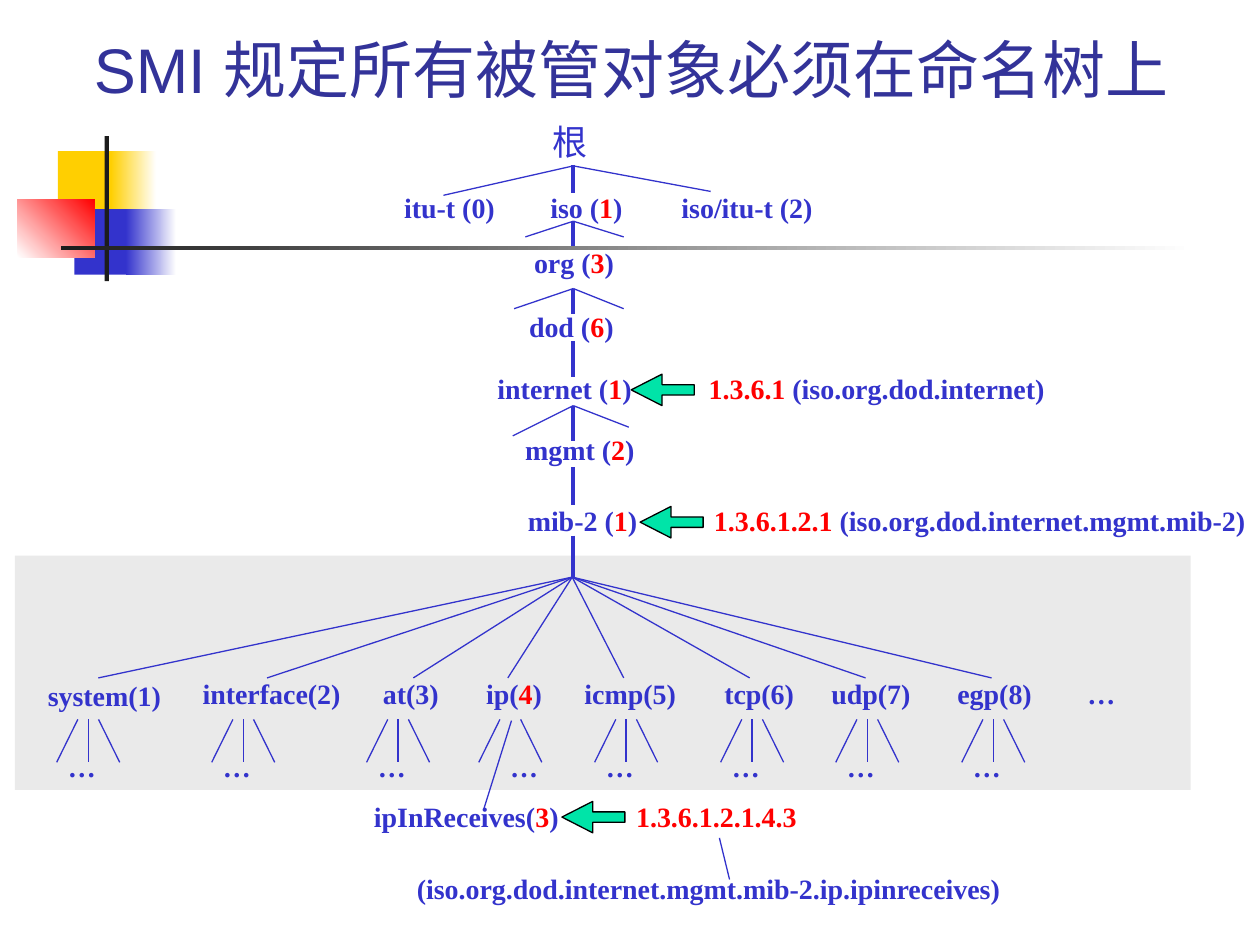
import pptx
import pptx.util
import pptx.dml.color
import pptx.enum.shapes
import pptx.enum.text
import lxml.etree

Pt = pptx.util.Pt
RGB = pptx.dml.color.RGBColor.from_string
SHAPE = pptx.enum.shapes.MSO_SHAPE
TEXT = pptx.enum.text

THEME = {
    "ink": "3333CC", "red": "FF0000", "title": "333399", "band": "EAEAEA",
    "arrow": "00E4A8", "black": "000000", "bar": "1C1C1C", "gold": "FFCF01",
    "white": "FFFFFF", "serif": "Times New Roman", "sans": "Arial",
    "title_size": 36, "root_size": 20, "size": 16, "thin": 0.75, "thick": 2.25,
}

TITLE = "SMI 规定所有被管对象必须在命名树上 "
DECOR = [
    (33.1, 86.4, 34.6, 37.4, ["gold"], 0),
    (63.4, 86.4, 25.9, 37.4, ["gold", "white"], 0),
    (42.5, 119.5, 33.1, 37.4, ["ink"], 0),
    (72, 119.5, 28.8, 37.4, ["ink", "white"], 0),
    (10.1, 113.8, 43.9, 33.1, ["white", "red"], 45),
    (59.8, 77.8, 2.4, 82.8, ["bar"], 0),
    (34.6, 140.4, 648, 2.4, ["bar", "white"], 0),
]
BAND = (8.6, 317.5, 671.8, 133.9)

# Text between bars is red
LABELS = [
    (223.9, 105.1, 67, "itu-t (0)", None),
    (307.4, 105.1, 56.2, "iso (|1|)", None),
    (382.3, 105.1, 90, "iso/itu-t (2)", None),
    (298.1, 136.8, 60.5, "org (|3|)", None),
    (295.2, 173.5, 63.4, "dod (|6|)", None),
    (277.2, 208.8, 328.3, "internet (|1|)\t|1.3.6.1| (iso.org.dod.internet)", 120.7),
    (293, 243.4, 77, "mgmt (|2|)", None),
    (294.5, 284.4, 426.2,
     "mib-2 (|1|)\t|1.3.6.1.2.1| (iso.org.dod.internet.mgmt.mib-2)", 106.4),
    (614.2, 383, 30.2, "…", None),
    (206.6, 453.6, 120.6, "ipInReceives(|3|)", None),
    (356.4, 453.6, 106.6, "|1.3.6.1.2.1.4.3|", None),
    (231.1, 494.6, 349.9, "(iso.org.dod.internet.mgmt.mib-2.ip.ipinreceives)", None),
]
ARROWS = [(360.7, 213.8), (365.8, 289.4), (321.1, 457.9)]

TRUNK_X = 327.6
TRUNKS = [(94.3, 110.2), (126, 140.4), (164.9, 179.3), (195.1, 215.3),
          (231.8, 252), (267.1, 288.7), (306, 330.5)]
FANS = [
    (94.8, [(253.4, 111.6), (406.1, 109.4)]),
    (126.4, [(300.2, 135.4), (356.4, 135.4)]),
    (164.9, [(293.8, 176.4), (356.4, 176.4)]),
    (231.8, [(293, 249.1), (359.3, 244.1)]),
]
LOOSE_LINES = [(292.3, 411.8, 276.5, 462.2), (416.9, 502.6, 411.1, 478.8)]

GROUP_Y, GROUP_APEX_Y, GROUP_END_Y = 383, 329.8, 387.4
TWIG_TOP, TWIG_BOTTOM, DOTS_Y, DOTS_W = 411.1, 435.6, 424.8, 30.2
GROUPS = [
    ("system(1)", 20.2, 79.9, 56.2, 50.4),
    ("interface(2)", 108.7, 93.6, 152.6, 139),
    ("at(3)", 211.7, 46.8, 236.2, 227.5),
    ("ip(|4|)", 270.7, 46.8, 290.2, 291.6),
    ("icmp(5)", 326.9, 67, 356.4, 357.8),
    ("tcp(6)", 406.8, 54.7, 428.4, 429.8),
    ("udp(7)", 468, 59.8, 494.6, 495.6),
    ("egp(8)", 540, 57.6, 566.6, 567.6),
]

prs = pptx.Presentation()
prs.slide_width, prs.slide_height = Pt(720), Pt(540)
slide = prs.slides.add_slide(prs.slide_layouts[6])
shapes = slide.shapes


def add_block(kind, x, y, w, h, colors, angle=0, line=None):
    sp = shapes.add_shape(kind, Pt(x), Pt(y), Pt(w), Pt(h))
    sp.shadow.inherit = False
    if len(colors) == 1:
        sp.fill.solid()
        sp.fill.fore_color.rgb = RGB(THEME[colors[0]])
    else:
        sp.fill.gradient()
        sp.fill.gradient_angle = angle
        for stop, color in zip(sp.fill.gradient_stops, colors):
            stop.color.rgb = RGB(THEME[color])
    if line:
        sp.line.color.rgb = RGB(THEME[line])
        sp.line.width = Pt(THEME["thin"])
    else:
        sp.line.fill.background()
    return sp


def add_line(x1, y1, x2, y2, weight="thin"):
    kind = pptx.enum.shapes.MSO_CONNECTOR.STRAIGHT
    cxn = shapes.add_connector(kind, Pt(x1), Pt(y1), Pt(x2), Pt(y2))
    cxn.line.color.rgb = RGB(THEME["ink"])
    cxn.line.width = Pt(THEME[weight])
    spPr = cxn._element.spPr
    lxml.etree.SubElement(spPr, pptx.oxml.ns.qn("a:effectLst"))


def add_text(x, y, w, h, text, tab=None, color="ink", frame=None, **font):
    tf = shapes.add_textbox(Pt(x), Pt(y), Pt(w), Pt(h)).text_frame
    frame = frame or {"word_wrap": False,
                      "auto_size": TEXT.MSO_AUTO_SIZE.SHAPE_TO_FIT_TEXT}
    for name, value in frame.items():
        setattr(tf, name, value)
    p = tf.paragraphs[0]
    if tab:
        tabs = lxml.etree.SubElement(p._p.get_or_add_pPr(), pptx.oxml.ns.qn("a:tabLst"))
        lxml.etree.SubElement(tabs, pptx.oxml.ns.qn("a:tab"), pos=str(Pt(tab)), algn="l")
    style = {"name": THEME["serif"], "size": Pt(THEME["size"]), "bold": True, **font}
    for i, part in enumerate(text.split("|")):
        if part:
            r = p.add_run()
            r.text = part
            for name, value in style.items():
                setattr(r.font, name, value)
            r.font.color.rgb = RGB(THEME["red" if i % 2 else color])
    return p


for x, y, w, h, colors, angle in DECOR:
    add_block(SHAPE.RECTANGLE, x, y, w, h, colors, angle)
p = add_text(41, 9.4, 647.3, 54.7, TITLE, color="title",
             frame={"word_wrap": True, "vertical_anchor": TEXT.MSO_ANCHOR.BOTTOM},
             name=THEME["sans"], size=Pt(THEME["title_size"]), bold=False)
p.alignment = TEXT.PP_ALIGN.CENTER
add_block(SHAPE.RECTANGLE, *BAND, ["band"])

add_text(308.9, 65.5, 34.6, 31, "根", size=Pt(THEME["root_size"]), bold=False)
for x, y, w, text, tab in LABELS:
    add_text(x, y, w, 26.6, text, tab)

for top, bottom in TRUNKS:
    add_line(TRUNK_X, top, TRUNK_X, bottom, "thick")
for apex_y, ends in FANS:
    for x, y in ends:
        add_line(TRUNK_X, apex_y, x, y)
for ends in LOOSE_LINES:
    add_line(*ends)

for text, x, w, end_x, mid in GROUPS:
    is_ip = text.startswith("ip")
    add_text(x, GROUP_Y + (1.5 if text.startswith("system") else 0), w, 26.6, text)
    add_line(TRUNK_X - 0.6, GROUP_APEX_Y, end_x, GROUP_END_Y)
    for side in (-1, 1) if is_ip else (-1, 0, 1):
        add_line(mid + 5.9 * side, TWIG_TOP, mid + 18 * side, TWIG_BOTTOM)
    add_text(mid - (7.2 if is_ip else 18.7), DOTS_Y, DOTS_W, 26.6, "…")

for x, y in ARROWS:
    sp = add_block(SHAPE.LEFT_ARROW, x, y, 36, 18, ["arrow"], line="black")
    sp.adjustments[0], sp.adjustments[1] = 0.33, 0.98

prs.save("out.pptx")
